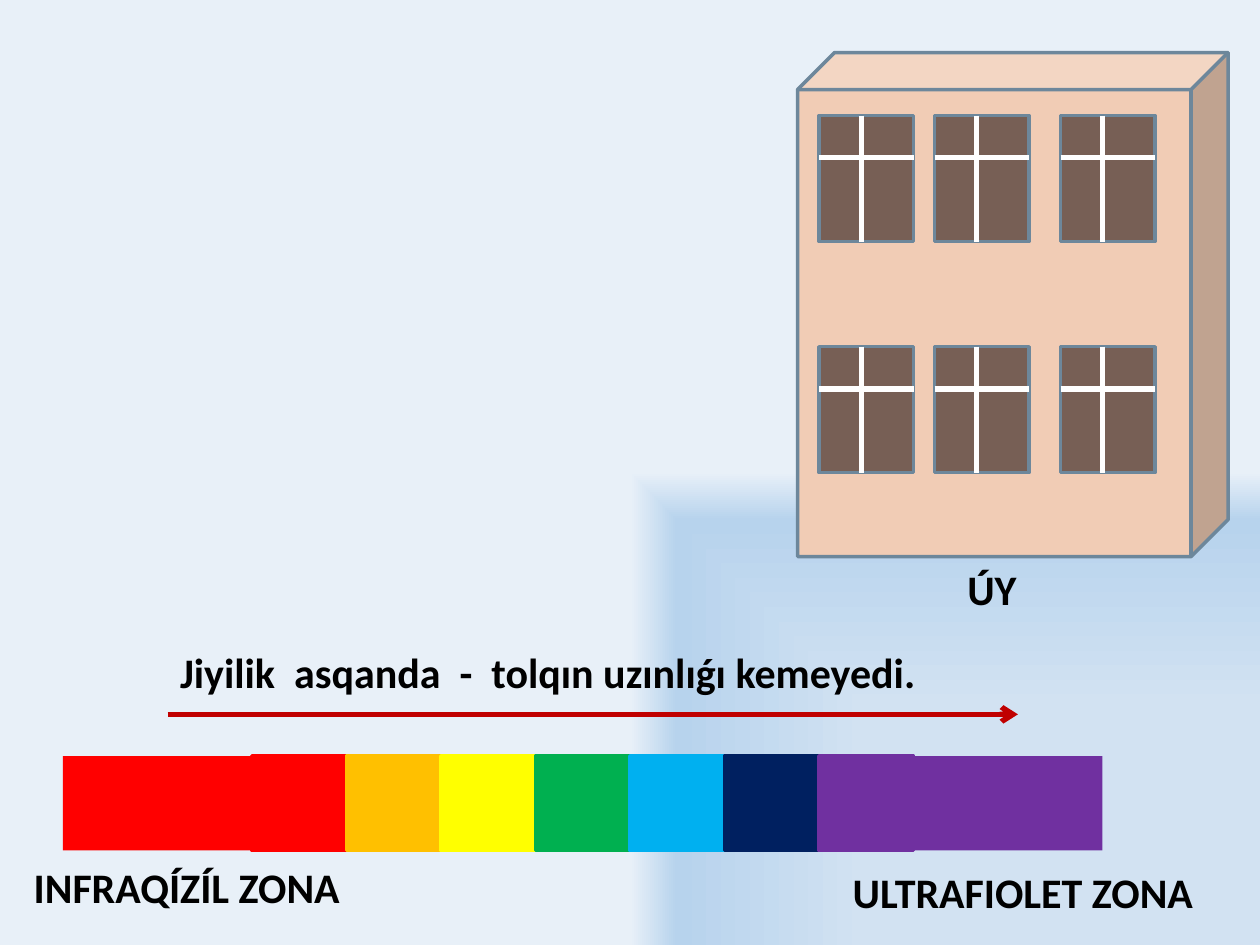
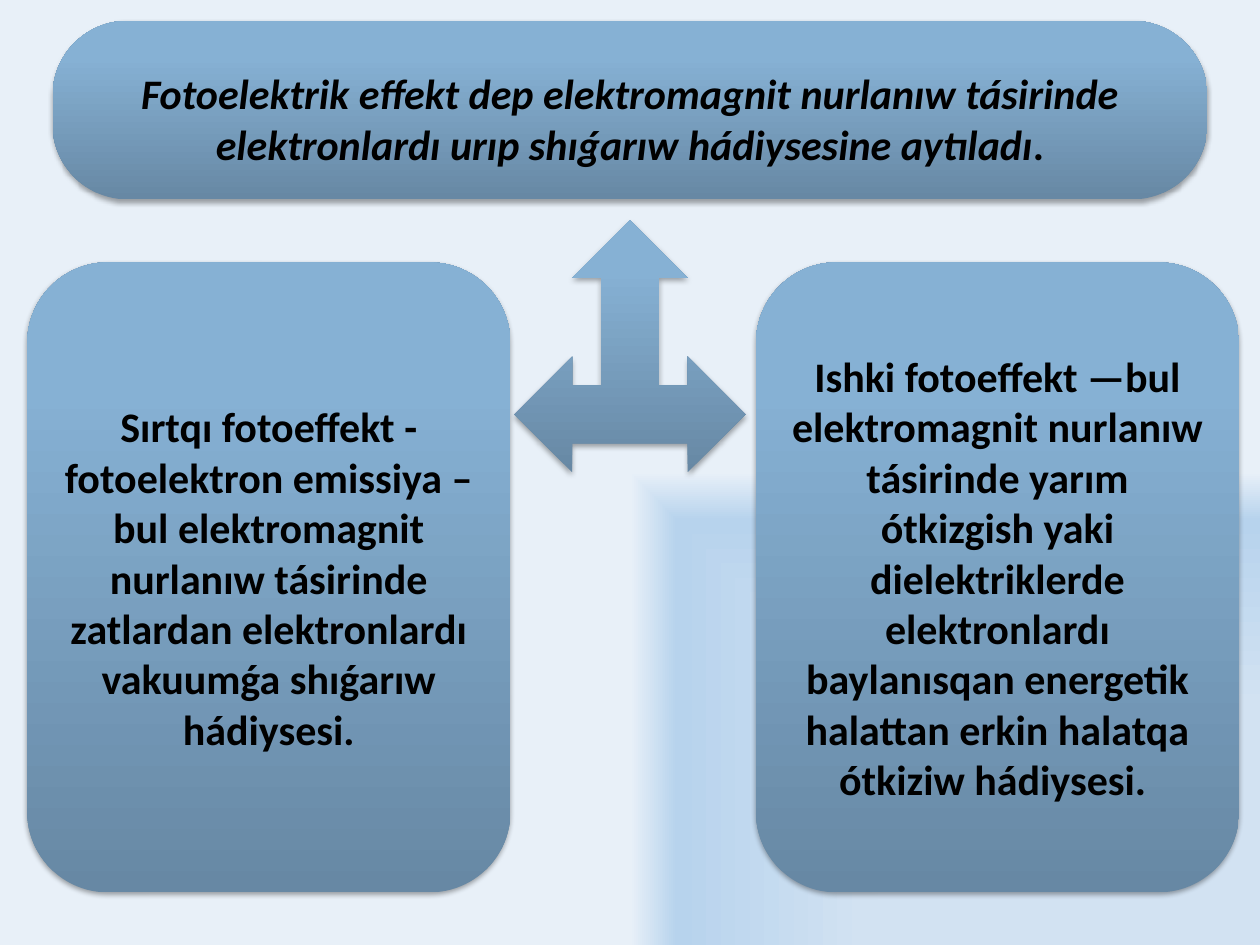
from pptx import Presentation
from pptx.dml.color import RGBColor
from pptx.enum.shapes import MSO_CONNECTOR, MSO_SHAPE
from pptx.enum.text import MSO_ANCHOR, MSO_AUTO_SIZE, PP_ALIGN
from pptx.oxml import parse_xml
from pptx.oxml.ns import nsdecls, qn
from pptx.util import Cm, Pt
from lxml.etree import SubElement

COLORS = {
    "text": "000000", "white": "FFFFFF", "arrow": "C00000",
    "wall": "F1CCB5", "window": "775F55", "outline": "6D879B",
    "red": "FF0000", "orange": "FFC000", "yellow": "FFFF00", "green": "00B050",
    "blue": "00B0F0", "navy": "002060", "violet": "7030A0",
    "bg_core": "D2E2F2", "bg_ring": "B7D3ED", "bg_edge": "E8F0F8",
    "card_dark": "6788A4", "card_mid": "86B1D4", "card_light": "86B2D7",
}
RGB = {name: RGBColor.from_string(value) for name, value in COLORS.items()}
FONT = "Calibri"
SIZE = Pt(24)


def set_gradient(fill, root, stops, direction):
    fill.solid()
    old = next(root.iter(qn("a:solidFill")))
    gs = "".join(
        f'<a:gs pos="{pos * 1000}"><a:srgbClr val="{COLORS[name]}"/></a:gs>'
        for pos, name in stops)
    old.getparent().replace(old, parse_xml(
        f'<a:gradFill {nsdecls("a")} rotWithShape="1">'
        f'<a:gsLst>{gs}</a:gsLst>{direction}</a:gradFill>'))


def add_line(shapes, x1, y1, x2, y2, color):
    c = shapes.add_connector(MSO_CONNECTOR.STRAIGHT, Cm(x1), Cm(y1), Cm(x2), Cm(y2))
    c.line.color.rgb = RGB[color]
    c.line.width = Pt(3)
    SubElement(c.element.spPr, qn("a:effectLst"))
    return c


prs = Presentation()
prs.slide_width, prs.slide_height = Cm(25.4), Cm(19.05)
blank = prs.slide_layouts[6]
master = prs.slide_master
set_gradient(master.background.fill, master.element,
             [(50, "bg_core"), (90, "bg_ring"), (100, "bg_edge")],
             '<a:path path="rect"><a:fillToRect l="100000" t="100000"/></a:path>')

s = prs.slides.add_slide(blank)

side = 7.62 / 4
x = 1.27
spectrum = s.shapes.add_group_shape()
bands = [("red", 2, False), ("red", 1, True), ("orange", 1, True),
         ("yellow", 1, True), ("green", 1, True), ("blue", 1, True),
         ("navy", 1, True), ("violet", 1, True), ("violet", 2, False)]
for color, units, outlined in bands:
    sp = spectrum.shapes.add_shape(MSO_SHAPE.RECTANGLE, Cm(x), Cm(15.24),
                                   Cm(units * side), Cm(side))
    sp.shadow.inherit = False
    sp.fill.solid()
    sp.fill.fore_color.rgb = RGB[color]
    if outlined:
        sp.line.color.rgb = RGB[color]
        sp.line.width = Pt(2)
    else:
        sp.line.fill.background()
    x += units * side

house = s.shapes.add_shape(MSO_SHAPE.CUBE, Cm(16.08), Cm(1.06), Cm(8.68), Cm(10.16))
house.adjustments[0] = 0.086
house.shadow.inherit = False
house.fill.solid()
house.fill.fore_color.rgb = RGB["wall"]
house.line.color.rgb = RGB["outline"]
house.line.width = Pt(2)

labels = [("INFRAQÍZÍL ZONA", 0.43, 17.25, 6.73),
          ("ULTRAFIOLET ZONA", 16.94, 17.35, 7.44),
          ("Jiyilik  asqanda  -  tolqın uzınlıǵı kemeyedi.", 3.38, 12.9, 15.93),
          ("ÚY", 19.25, 11.23, 1.52)]
for text, x, y, width in labels:
    tf = s.shapes.add_textbox(Cm(x), Cm(y), Cm(width), Cm(1.27)).text_frame
    tf.word_wrap = False
    tf.auto_size = MSO_AUTO_SIZE.SHAPE_TO_FIT_TEXT
    tf.text = text
    font = tf.paragraphs[0].runs[0].font
    font.name, font.size, font.bold = FONT, SIZE, True
    font.color.rgb = RGB["text"]

arrow = add_line(s.shapes, 3.38, 14.4, 20.52, 14.4, "arrow")
SubElement(arrow.line._get_or_add_ln(), qn("a:tailEnd"), type="arrow")

for y in (2.33, 6.99):
    for x in (16.51, 18.84, 21.38):
        window = s.shapes.add_group_shape()
        sp = window.shapes.add_shape(MSO_SHAPE.RECTANGLE, Cm(x), Cm(y), Cm(side), Cm(2.54))
        sp.shadow.inherit = False
        sp.fill.solid()
        sp.fill.fore_color.rgb = RGB["window"]
        sp.line.color.rgb = RGB["outline"]
        sp.line.width = Pt(2)
        add_line(window.shapes, x + 0.85, y, x + 0.85, y + 2.54, "white")
        add_line(window.shapes, x, y + 0.85, x + side, y + 0.85, "white")

s = prs.slides.add_slide(blank)

cards = [
    (MSO_SHAPE.ROUNDED_RECTANGLE, 1.06, 0.42, 23.28, 3.6,
     [("Fotoelektrik effekt dep elektromagnit nurlanıw tásirinde "
       "elektronlardı urıp shıǵarıw hádiysesine aytıladı", True), (".", False)]),
    (MSO_SHAPE.ROUNDED_RECTANGLE, 0.55, 5.29, 9.74, 12.7,
     [("Sırtqı fotoeffekt - fotoelektron emissiya – bul elektromagnit nurlanıw "
       "tásirinde zatlardan elektronlardı vakuumǵa shıǵarıw hádiysesi.", False)]),
    (MSO_SHAPE.LEFT_RIGHT_UP_ARROW, 10.37, 4.44, 4.66, 5.08, []),
    (MSO_SHAPE.ROUNDED_RECTANGLE, 15.24, 5.29, 9.74, 12.7,
     [("Ishki fotoeffekt —bul elektromagnit nurlanıw tásirinde yarım ótkizgish "
       "yaki dielektriklerde elektronlardı baylanısqan energetik halattan erkin "
       "halatqa ótkiziw hádiysesi. ", False)]),
]
for kind, x, y, width, height, runs in cards:
    sp = s.shapes.add_shape(kind, Cm(x), Cm(y), Cm(width), Cm(height))
    set_gradient(sp.fill, sp.element.spPr,
                 [(0, "card_dark"), (80, "card_mid"), (100, "card_light")],
                 '<a:lin ang="16200000" scaled="0"/>')
    sp.line.fill.background()
    sp.shadow.inherit = False
    sp.element.spPr.find(qn("a:effectLst")).append(parse_xml(
        f'<a:outerShdw {nsdecls("a")} blurRad="40000" dist="23000" dir="5400000" '
        'rotWithShape="0"><a:srgbClr val="000000"><a:alpha val="35000"/>'
        '</a:srgbClr></a:outerShdw>'))
    tf = sp.text_frame
    tf.word_wrap = True
    tf.vertical_anchor = MSO_ANCHOR.MIDDLE
    p = tf.paragraphs[0]
    p.alignment = PP_ALIGN.CENTER
    for text, italic in runs:
        r = p.add_run()
        r.text = text
        r.font.name, r.font.size = FONT, SIZE
        r.font.bold, r.font.italic = True, italic
        r.font.color.rgb = RGB["text"]

heading = s.shapes[0]
heading.adjustments[0] = 0.42
heading.text_frame.margin_top = Cm(0.45)

prs.save("out.pptx")
